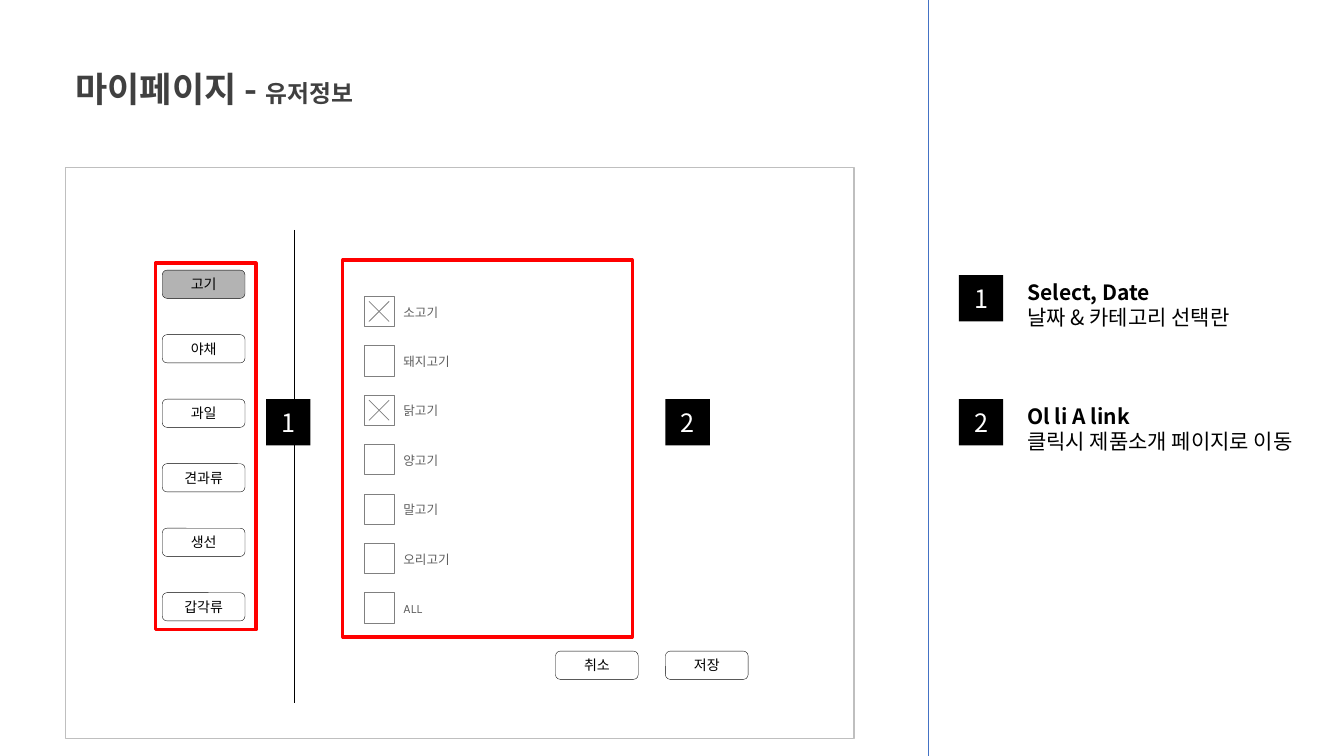
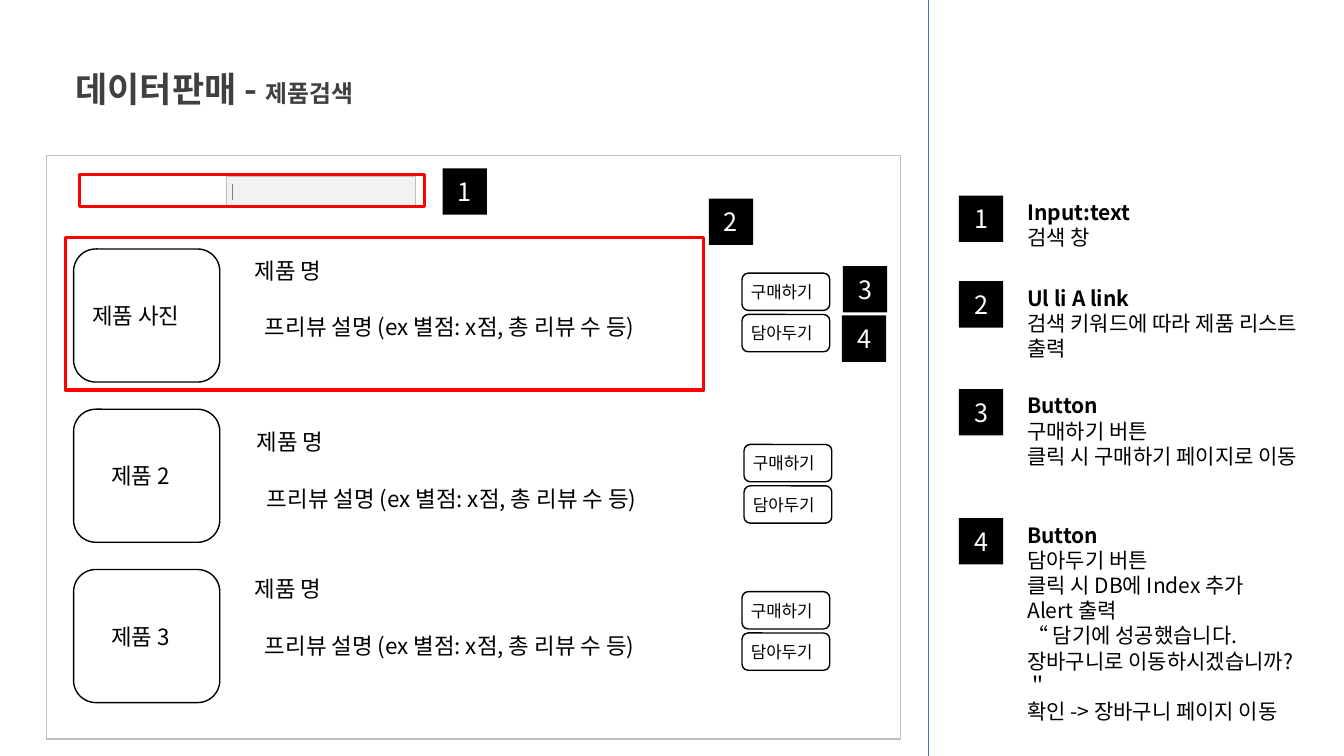
import lxml.etree
import pptx
import pptx.dml.color
import pptx.enum.shapes
import pptx.enum.text
import pptx.oxml.ns
import pptx.util

EMU_PER_PX = 9144  # 100 px to the inch
RECTANGLE = pptx.enum.shapes.MSO_SHAPE.RECTANGLE
ROUNDED = pptx.enum.shapes.MSO_SHAPE.ROUNDED_RECTANGLE
LEFT = pptx.enum.text.PP_ALIGN.LEFT
CENTER = pptx.enum.text.PP_ALIGN.CENTER
TOP = pptx.enum.text.MSO_ANCHOR.TOP
MIDDLE = pptx.enum.text.MSO_ANCHOR.MIDDLE


def px(length):
    return pptx.util.Emu(length * EMU_PER_PX)


def color(hex_string):
    return pptx.dml.color.RGBColor.from_string(hex_string)


class Wireframe:
    """Shared style and the slide being drawn."""

    FONT, LABEL_FONT = "Noto Sans CJK KR", "Karla"
    BLACK, WHITE, TITLE = "000000", "FFFFFF", "404040"
    FRAME, RED, DIVIDER = "BFBFBF", "FF0000", "4472C4"
    GRAY, LABEL, SELECTED, INPUT = "808080", "5F5F5F", "B3B3B3", "F2F2F2"

    def __init__(self, presentation):
        self.presentation = presentation
        self.slide = None

    # Text styling
    def style_run(self, run, size, fill=BLACK, bold=False, font=FONT):
        run.font.size = pptx.util.Pt(size)
        run.font.bold = bold
        run.font.color.rgb = color(fill)
        run.font.name = font
        east_asian = lxml.etree.SubElement(
            run._r.get_or_add_rPr(), pptx.oxml.ns.qn("a:ea"))
        east_asian.set("typeface", self.FONT)

    def style_frame(self, frame, anchor, align, insets, wrap=True):
        frame.word_wrap = wrap
        frame.vertical_anchor = anchor
        (frame.margin_left, frame.margin_top,
         frame.margin_right, frame.margin_bottom) = map(px, insets)
        for paragraph in frame.paragraphs:
            paragraph.alignment = align

    # Slide with title and divider
    def page(self, section, topic):
        self.slide = self.presentation.slides.add_slide(
            self.presentation.slide_layouts.get_by_name("Title Only"))
        title = self.slide.shapes.title
        title.left, title.top, title.width, title.height = map(px, (65, 62, 333, 52))
        frame = title.text_frame
        frame.auto_size = pptx.enum.text.MSO_AUTO_SIZE.NONE
        paragraph = frame.paragraphs[0]
        paragraph.line_spacing = 1.0
        paragraph.space_before = pptx.util.Pt(0)
        for text, size in ((section + " - ", 25), (topic, 17)):
            run = paragraph.add_run()
            run.text = text
            self.style_run(run, size, self.TITLE, bold=True)
        self.style_frame(frame, TOP, LEFT, (10, 5, 10, 5), wrap=False)
        self.line(921, 0, 921, 750, self.DIVIDER, 0.5)

    # Basic elements
    def outline(self, shape, fill, line, weight):
        shape.shadow.inherit = False
        if fill:
            shape.fill.solid()
            shape.fill.fore_color.rgb = color(fill)
        else:
            shape.fill.background()
        if line:
            shape.line.color.rgb = color(line)
            shape.line.width = pptx.util.Pt(weight)
        else:
            shape.line.fill.background()

    def box(self, x, y, width, height, fill=None, line=None, weight=1, kind=RECTANGLE):
        shape = self.slide.shapes.add_shape(kind, *map(px, (x, y, width, height)))
        self.outline(shape, fill, line, weight)
        return shape

    def line(self, x1, y1, x2, y2, stroke, weight):
        connector = self.slide.shapes.add_connector(
            pptx.enum.shapes.MSO_CONNECTOR.STRAIGHT, *map(px, (x1, y1, x2, y2)))
        connector.line.color.rgb = color(stroke)
        connector.line.width = pptx.util.Pt(weight)
        lxml.etree.SubElement(connector.element.spPr, pptx.oxml.ns.qn("a:effectLst"))

    def text(self, x, y, width, height, text, size, anchor=TOP,
             insets=(10, 5, 10, 5), **style):
        shape = self.slide.shapes.add_textbox(*map(px, (x, y, width, height)))
        shape.text_frame.text = text
        self.style_frame(shape.text_frame, anchor, LEFT, insets)
        for paragraph in shape.text_frame.paragraphs:
            self.style_run(paragraph.runs[0], size, **style)
        return shape

    def caption(self, shape, text, size, fill=BLACK, align=CENTER, inset=0):
        shape.text_frame.text = text
        self.style_frame(shape.text_frame, MIDDLE, align, (inset, 0, 0, 0))
        self.style_run(shape.text_frame.paragraphs[0].runs[0], size, fill)

    # Wireframe parts
    def frame(self, x, y, width, height):
        self.box(x, y, width, height, self.WHITE, self.FRAME)

    def highlight(self, x, y, width, height):
        self.box(x, y, width, height, line=self.RED, weight=2.25)

    def badge(self, x, y, number):
        self.caption(self.box(x, y, 44, 46, self.BLACK), str(number), 18, self.WHITE)

    def note(self, y, number, heading, *details, width=292):
        self.badge(951, y, number)
        lines = (heading, *details)
        shape = self.text(1009, y - 1, width, 11 + 25 * len(lines), "\n".join(lines), 15)
        shape.text_frame.paragraphs[0].runs[0].font.bold = True

    def button(self, x, y, text, fill=WHITE):
        shape = self.box(x, y, 82, 28, fill, self.BLACK, 0.25, ROUNDED)
        self.caption(shape, text, 10)

    def rounded(self, x, y, width, height, text, size, inset):
        shape = self.box(x, y, width, height, line=self.BLACK, kind=ROUNDED)
        self.caption(shape, text, size, align=LEFT, inset=inset)

    def checkbox(self, x, y, text, checked):
        self.box(x, y, 30, 30, self.WHITE, self.GRAY, 0.5)
        if checked:
            left, top, right, bottom = map(px, (x + 5, y + 5, x + 25, y + 25))
            builder = self.slide.shapes.build_freeform(right, top)
            builder.add_line_segments([(left, bottom)], close=False)
            builder.move_to(left, top)
            builder.add_line_segments([(right, bottom)], close=False)
            self.outline(builder.convert_to_shape(), None, self.GRAY, 0.5)
        self.text(x + 31, y - 9, 141, 49, text, 9, MIDDLE, (8, 4, 8, 4),
                  fill=self.LABEL, font=self.LABEL_FONT)

    def product(self, x, y):
        self.text(x, y, 126, 37, "제품 명", 16)
        self.text(x + 10, y + 56, 454, 37, "프리뷰 설명 (ex 별점: x점, 총 리뷰 수 등)", 16)
        for offset, action in ((21, "구매하기"), (62, "담아두기")):
            self.rounded(x + 493, y + offset, 87, 37, action, 12, inset=7)


def build_user_info(wireframe):
    wireframe.page("마이페이지", "유저정보")
    wireframe.frame(65, 166, 782, 567)
    wireframe.line(292, 228, 292, 697, wireframe.BLACK, 1)

    # Category buttons
    for index, category in enumerate(("고기", "야채", "과일", "견과류", "생선", "갑각류")):
        fill = wireframe.SELECTED if index == 0 else wireframe.WHITE
        wireframe.button(161, 268 + 64 * index, category, fill)
    wireframe.highlight(154, 261, 100, 364)

    # Item checkboxes
    items = ("소고기", "돼지고기", "닭고기", "양고기", "말고기", "오리고기", "ALL")
    for index, item in enumerate(items):
        wireframe.checkbox(361, 294 + 49 * index, item, item in ("소고기", "닭고기"))
    wireframe.highlight(340, 258, 287, 374)
    wireframe.button(551, 646, "취소")
    wireframe.button(660, 646, "저장")

    # Numbered notes
    wireframe.badge(264, 396, 1)
    wireframe.badge(660, 396, 2)
    wireframe.note(273, 1, "Select, Date", "날짜 & 카테고리 선택란")
    wireframe.note(396, 2, "Ol li A link", "클릭시 제품소개 페이지로 이동")


def build_product_search(wireframe):
    wireframe.page("데이터판매", "제품검색")
    wireframe.frame(46, 154, 847, 579)

    # Search bar
    wireframe.box(224, 175, 188, 29, wireframe.INPUT, wireframe.FRAME, 0.25)
    wireframe.line(230, 183, 230, 198, wireframe.GRAY, 0.25)
    wireframe.highlight(79, 173, 342, 32)

    # Product list
    thumbnails = (("제품 사진", 12), ("제품 2", 31), ("제품 3", 31))
    for index, (name, inset) in enumerate(thumbnails):
        wireframe.rounded(73, 247 + 159 * index, 145, 132, name, 16, inset)
    for x, y in ((243, 250), (245, 420), (243, 566)):
        wireframe.product(x, y)
    wireframe.highlight(65, 236, 633, 151)

    # Numbered notes
    for number, (x, y) in enumerate(((439, 167), (703, 197), (836, 264), (835, 313)), 1):
        wireframe.badge(x, y, number)
    wireframe.note(194, 1, "Input:text", "검색 창")
    wireframe.note(279, 2, "Ul li A link", "검색 키워드에 따라 제품 리스트 출력")
    wireframe.note(386, 3, "Button", "구매하기 버튼", "클릭 시 구매하기 페이지로 이동")
    wireframe.note(514, 4, "Button", "담아두기 버튼", "클릭 시 DB에 Index 추가", "Alert 출력",
                   "“ 담기에 성공했습니다. 장바구니로 이동하시겠습니까?＂",
                   "확인 -> 장바구니 페이지 이동", width=302)


def main():
    presentation = pptx.Presentation()
    presentation.slide_width, presentation.slide_height = px(1333), px(750)
    wireframe = Wireframe(presentation)
    build_user_info(wireframe)
    build_product_search(wireframe)
    presentation.save("out.pptx")


if __name__ == "__main__":
    main()
